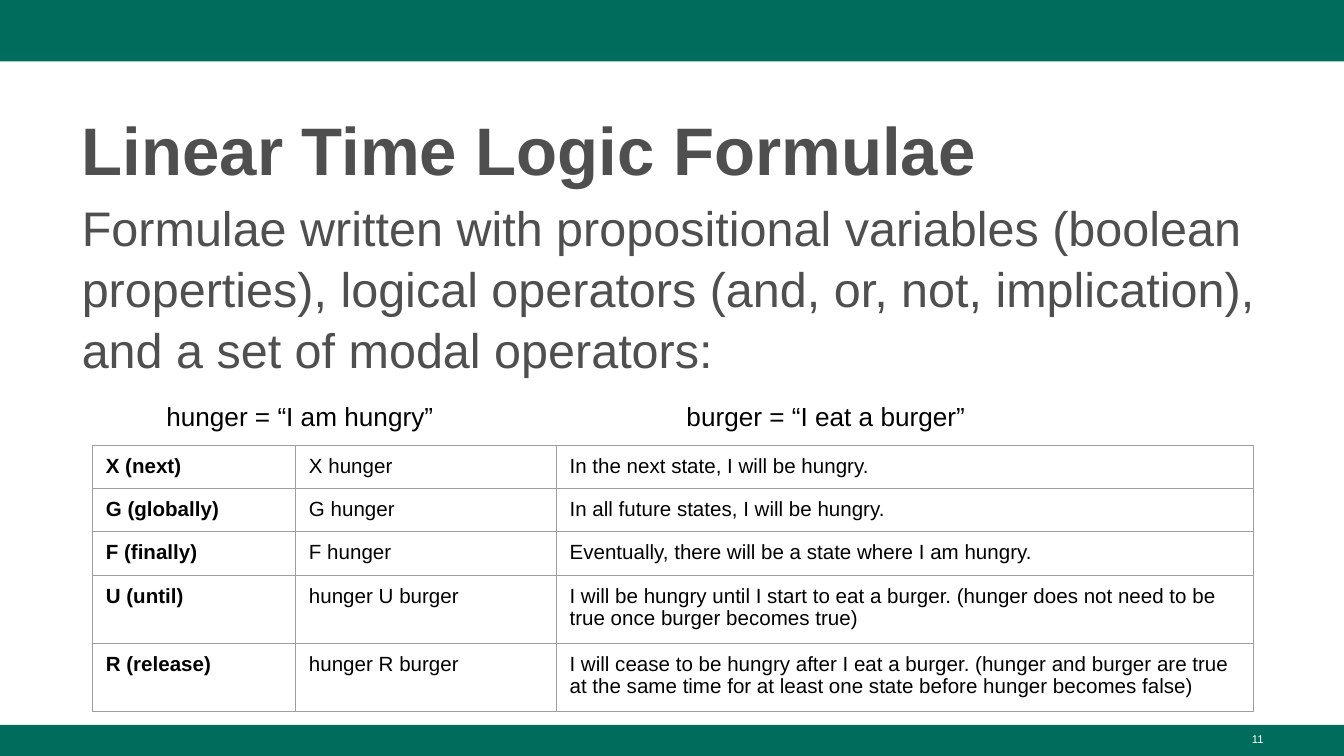
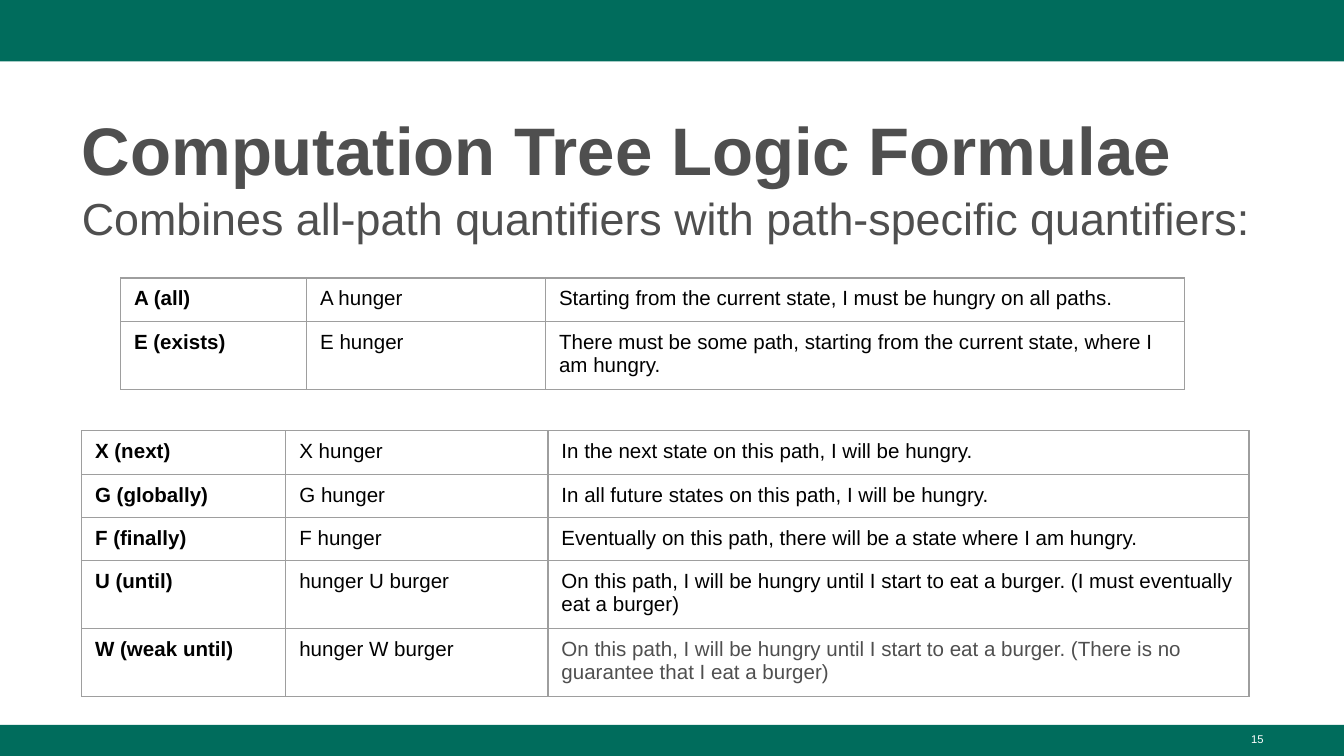
from lxml import etree
from pptx import Presentation
from pptx import util as u
from pptx.dml.color import RGBColor
from pptx.enum import shapes, text
from pptx.oxml import ns

Pt = u.Pt
FONT = "Arial"
COLORS = {"band": "006C5C", "heading": "4F4F4F", "body": "000000",
          "grid": "9E9E9E", "page": "FFFFFF"}
COLUMN_SHARES = (0.175, 0.2245, 0.6005)
WIDTH, HEIGHT = 720, 405
LEFT, TEXT_WIDTH = 36.7, 647.3


def rgb(name):
    return RGBColor.from_string(COLORS[name])


class LectureDeck:
    def __init__(self):
        self.deck = Presentation()
        self.deck.slide_width, self.deck.slide_height = Pt(WIDTH), Pt(HEIGHT)
        self.page = None

    def new_page(self, title, number):
        """Start a slide with its bands, title and page number."""
        self.page = self.deck.slides.add_slide(self.deck.slide_layouts[6])
        self.band(0, 33)
        self.band(388.3, HEIGHT - 388.3)
        self.label(title, LEFT, 48.2, TEXT_WIDTH, 52.6, 36, "heading",
                   bold=True, spacing=1.08, inset=6.5)
        self.label(number, 516.2, 388.8, 167.8, 16.2, 6, "page",
                   align=text.PP_ALIGN.RIGHT)

    def band(self, top, height):
        box = self.page.shapes.add_shape(
            shapes.MSO_SHAPE.RECTANGLE, 0, Pt(top), Pt(WIDTH), Pt(height))
        box.shadow.inherit = False
        box.fill.solid()
        box.fill.fore_color.rgb = rgb("band")
        box.line.fill.background()

    def style(self, para, size, color, bold=False):
        para.font.name, para.font.size, para.font.bold = FONT, Pt(size), bold
        para.font.color.rgb = rgb(color)

    def label(self, words, left, top, width, height, size, color, bold=False,
              spacing=None, inset=3.6, align=None, tab=None):
        box = self.page.shapes.add_textbox(
            Pt(left), Pt(top), Pt(width), Pt(height))
        frame = box.text_frame
        frame.word_wrap = True
        frame.margin_top = Pt(inset)
        para = frame.paragraphs[0]
        para.text = words
        para.alignment, para.line_spacing = align, spacing
        if tab:
            stops = etree.SubElement(para._p.get_or_add_pPr(), ns.qn("a:tabLst"))
            etree.SubElement(stops, ns.qn("a:tab"), pos=str(Pt(tab)), algn="l")
        self.style(para, size, color, bold)

    def intro(self, words, top, size):
        self.label(words, LEFT, top, TEXT_WIDTH, 375.1 - top, size, "heading",
                   spacing=1.05)

    def operator_table(self, left, top, width, rows, muted_row=None):
        """Operator, example and meaning; muted_row has a grey meaning."""
        row_height = 22.3
        table = self.page.shapes.add_table(
            len(rows), len(COLUMN_SHARES), Pt(left), Pt(top), Pt(width),
            Pt(row_height * len(rows))).table
        table.first_row = table.horz_banding = False
        for column, share in zip(table.columns, COLUMN_SHARES):
            column.width = Pt(width * share)
        for r, row in enumerate(rows):
            table.rows[r].height = Pt(row_height)
            for c, words in enumerate(row):
                cell = table.cell(r, c)
                cell.margin_left = cell.margin_right = Pt(7.2)
                cell.margin_top = cell.margin_bottom = Pt(5)
                para = cell.text_frame.paragraphs[0]
                para.text = words
                muted = r == muted_row and c == 2
                self.style(para, 11, "heading" if muted else "body", c == 0)
                self.borders(cell)
                cell.fill.background()

    def borders(self, cell):
        props = cell._tc.get_or_add_tcPr()
        for side in ("lnL", "lnR", "lnT", "lnB"):
            line = etree.SubElement(props, ns.qn("a:" + side), w=str(Pt(0.75)))
            fill = etree.SubElement(line, ns.qn("a:solidFill"))
            etree.SubElement(fill, ns.qn("a:srgbClr"), val=COLORS["grid"])


def main():
    lecture = LectureDeck()

    # Linear time logic
    lecture.new_page("Linear Time Logic Formulae", "11")
    lecture.intro(
        "Formulae written with propositional variables (boolean properties), "
        "logical operators (and, or, not, implication), and a set of modal "
        "operators:", 100.8, 26)
    lecture.operator_table(49.5, 238.5, 622, [
        ("X (next)", "X hunger", "In the next state, I will be hungry."),
        ("G (globally)", "G hunger", "In all future states, I will be hungry."),
        ("F (finally)", "F hunger",
         "Eventually, there will be a state where I am hungry."),
        ("U (until)", "hunger U burger",
         "I will be hungry until I start to eat a burger. (hunger does not "
         "need to be true once burger becomes true)"),
        ("R (release)", "hunger R burger",
         "I will cease to be hungry after I eat a burger. (hunger and burger "
         "are true at the same time for at least one state before hunger "
         "becomes false)"),
    ])
    lecture.label("hunger = “I am hungry”\tburger = “I eat a burger”",
                  82, 207.4, 557.3, 31, 14, "body", inset=7.2, tab=278.7)

    # Computation tree logic
    lecture.new_page("Computation Tree Logic Formulae", "15")
    lecture.intro("Combines all-path quantifiers with path-specific "
                  "quantifiers:", 97.2, 24)
    lecture.operator_table(43.7, 230.8, 625.5, [
        ("X (next)", "X hunger",
         "In the next state on this path, I will be hungry."),
        ("G (globally)", "G hunger",
         "In all future states on this path, I will be hungry."),
        ("F (finally)", "F hunger",
         "Eventually on this path, there will be a state where I am hungry."),
        ("U (until)", "hunger U burger",
         "On this path, I will be hungry until I start to eat a burger. "
         "(I must eventually eat a burger)"),
        ("W (weak until)", "hunger W burger",
         "On this path, I will be hungry until I start to eat a burger. "
         "(There is no guarantee that I eat a burger)"),
    ], muted_row=4)
    lecture.operator_table(64.6, 149, 570, [
        ("A (all)", "A hunger",
         "Starting from the current state, I must be hungry on all paths."),
        ("E (exists)", "E hunger",
         "There must be some path, starting from the current state, where I "
         "am hungry."),
    ])

    lecture.deck.save("out.pptx")


if __name__ == "__main__":
    main()
